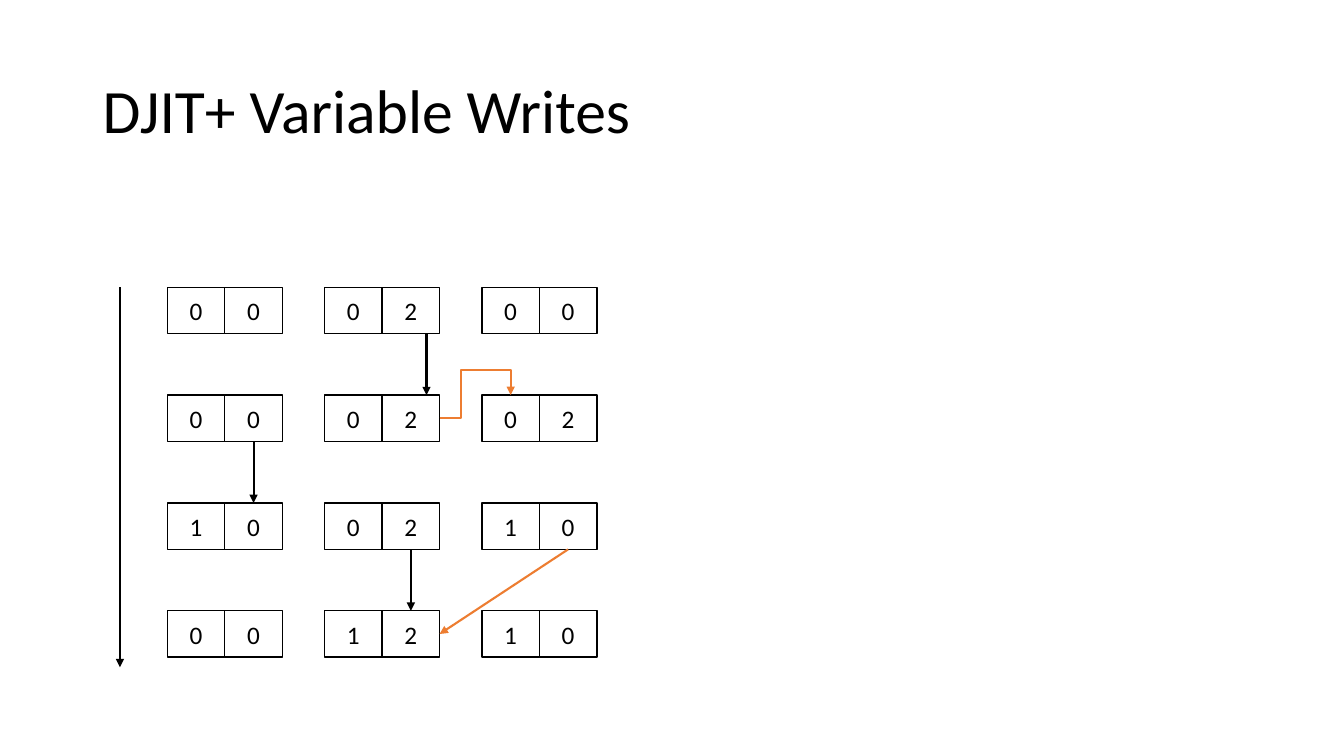
from pptx import Presentation
from pptx.dml.color import RGBColor
from pptx.enum.shapes import MSO_CONNECTOR, MSO_SHAPE
from pptx.enum.text import MSO_ANCHOR, PP_ALIGN
from pptx.oxml.ns import qn
from pptx.util import Pt
from lxml.etree import SubElement

PX = 9144
COLORS = {"ink": "000000", "paper": "FFFFFF", "sync": "ED7D31"}
CLOCKS = [
    ["00", "02", "00"],
    ["00", "02", "02"],
    ["10", "02", "10"],
    ["00", "12", "10"],
]
TOP, LEFT, BOTTOM, RIGHT = range(4)


def px(*lengths):
    return [round(n * PX) for n in lengths]


def color(name):
    return RGBColor.from_string(COLORS[name])


def write(sp, text, size):
    tf = sp.text_frame
    tf.word_wrap = True
    tf.vertical_anchor = MSO_ANCHOR.MIDDLE
    p = tf.paragraphs[0]
    p.text = text
    font = p.runs[0].font
    font.name = "Calibri"
    font.size = Pt(size)
    font.color.rgb = color("ink")
    return p


def add_title(slide, x, y, w, h):
    sp = slide.shapes.add_textbox(*px(x, y, w, h))
    p = write(sp, "DJIT+ Variable Writes", 44)
    p.line_spacing = 0.9


def add_clock(slide, x, y, w, h, values):
    group = slide.shapes.add_group_shape()
    cell_w = w // len(values)
    cells = []
    for i, value in enumerate(values):
        sp = group.shapes.add_shape(
            MSO_SHAPE.RECTANGLE, *px(x + i * cell_w, y, cell_w, h))
        sp.shadow.inherit = False
        sp.fill.solid()
        sp.fill.fore_color.rgb = color("paper")
        sp.line.color.rgb = color("ink")
        sp.line.width = Pt(1)
        write(sp, value, 18).alignment = PP_ALIGN.CENTER
        cells.append(sp)
    return cells


def add_arrow(slide, x1, y1, x2, y2, ink="ink", kind=MSO_CONNECTOR.STRAIGHT):
    cxn = slide.shapes.add_connector(kind, *px(x1, y1, x2, y2))
    cxn.line.color.rgb = color(ink)
    cxn.line.width = Pt(1.5)
    SubElement(cxn.line._get_or_add_ln(), qn("a:tailEnd"), type="triangle")
    SubElement(cxn._element.spPr, qn("a:effectLst"))
    return cxn


def join(slide, source, source_side, target, target_side, **style):
    cxn = add_arrow(slide, 0, 0, 0, 0, **style)
    cxn.begin_connect(source, source_side)
    cxn.end_connect(target, target_side)
    return cxn


def bend(cxn, *adjustments):
    geom = cxn._element.spPr.find(qn("a:prstGeom"))
    geom.set("prst", "bentConnector4")
    guides = geom.find(qn("a:avLst"))
    for i, value in enumerate(adjustments, 1):
        SubElement(guides, qn("a:gd"), name=f"adj{i}", fmla=f"val {value}")


def add_timeline(slide, x, y, w, h):
    clock_w, clock_h = 114, 46
    clock_x = x + 47
    step_x, step_y = 156, 107
    add_arrow(slide, x, y, x, y + h)
    clocks = [
        [add_clock(slide, clock_x + c * step_x, y + r * step_y,
                   clock_w, clock_h, values)
         for c, values in enumerate(row)]
        for r, row in enumerate(CLOCKS)
    ]
    first_x = clock_x + step_x + 101
    add_arrow(slide, first_x, y + clock_h, first_x, y + step_y)
    join(slide, clocks[1][0][1], BOTTOM, clocks[2][0][1], TOP)
    join(slide, clocks[2][1][1], BOTTOM, clocks[3][1][1], TOP)
    elbow = join(slide, clocks[1][1][1], RIGHT, clocks[1][2][0], TOP,
                 ink="sync", kind=MSO_CONNECTOR.ELBOW)
    bend(elbow, 29700, 207700)
    join(slide, clocks[2][2][1], BOTTOM, clocks[3][1][1], RIGHT, ink="sync")


def main():
    prs = Presentation()
    prs.slide_width, prs.slide_height = px(1333, 750)
    slide = prs.slides.add_slide(prs.slide_layouts[6])
    add_timeline(slide, 119, 285, 473, 377)
    add_title(slide, 92, 40, 1150, 145)
    prs.save("out.pptx")


if __name__ == "__main__":
    main()
